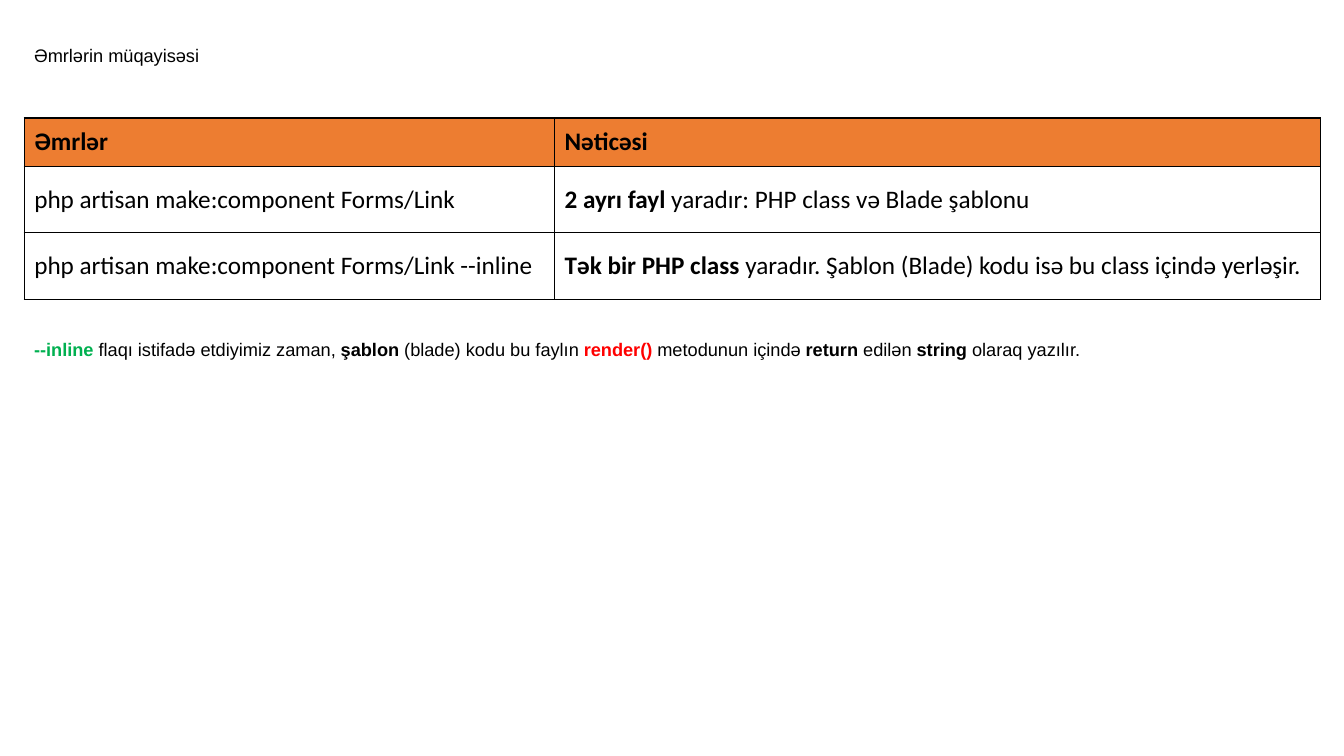
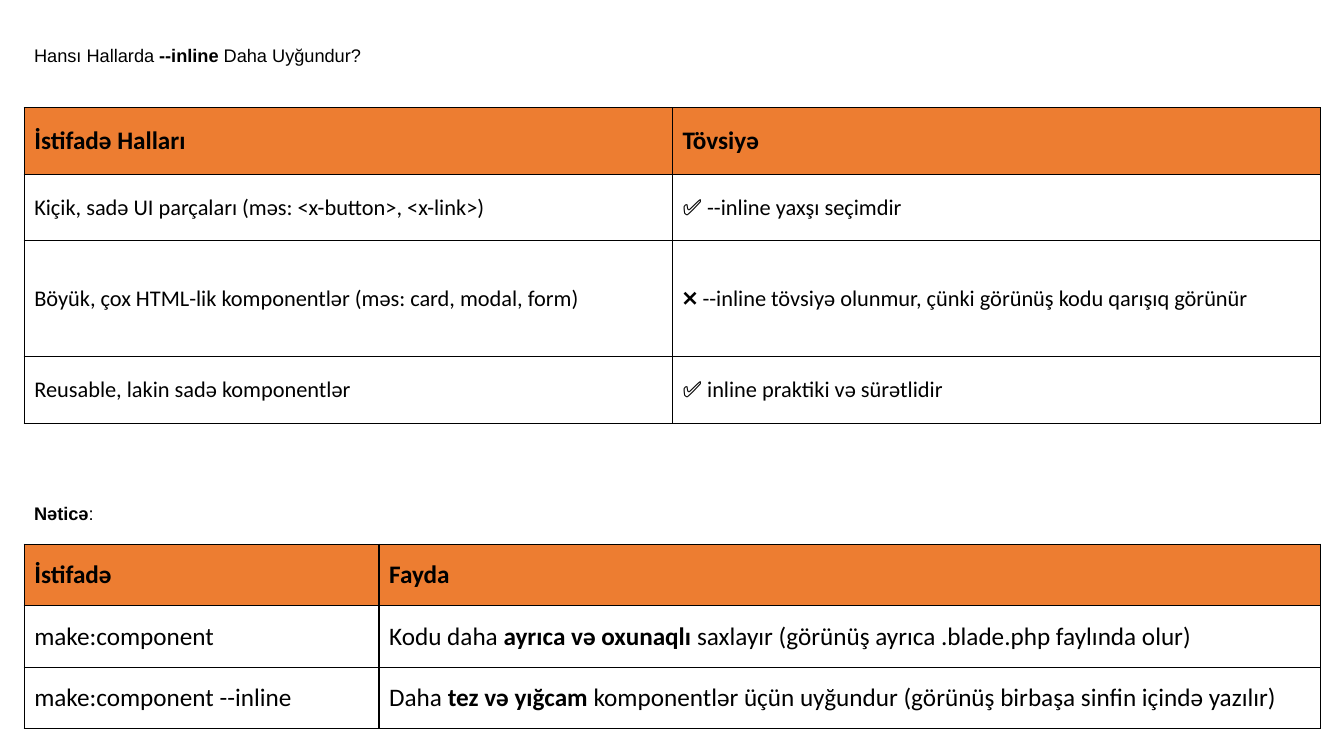
import pptx
import pptx.util
import pptx.dml.color
import pptx.enum.text
import lxml.etree
from dataclasses import dataclass

Inches, Pt = pptx.util.Inches, pptx.util.Pt
RGB = pptx.dml.color.RGBColor.from_string


@dataclass(frozen=True)
class Theme:
    text: str = "000000"
    flag: str = "00B050"
    method: str = "FF0000"
    header: str = "ED7D31"
    border: str = "000000"
    note_font: str = "Arial"
    table_font: str = "Calibri"
    note_size: int = 13
    table_size: int = 18
    small_size: int = 16
    border_width: int = 1


T = Theme()
LEFT, WIDTH = 0.24, 12.86
NOTE_HEIGHT = 0.42
TITLE_TOP = 0.28

# A text is a plain string or a list of strings and (string, style) pairs.
STYLES = {
    "plain": {"bold": False, "color": T.text},
    "bold": {"bold": True, "color": T.text},
    "flag": {"bold": True, "color": T.flag},
    "method": {"bold": True, "color": T.method},
}

SLIDES = [
    {
        "notes": [
            (TITLE_TOP, "Əmrlərin müqayisəsi"),
            (3.2, [("--inline ", "flag"), "flaqı istifadə etdiyimiz zaman, ",
                   ("şablon", "bold"), " (blade) kodu bu faylın ",
                   ("render() ", "method"), "metodunun içində ",
                   ("return", "bold"), " edilən ", ("string", "bold"),
                   " olaraq yazılır."]),
        ],
        "tables": [
            {
                "top": 1.17, "first_col": 5.26, "row_heights": [0.48, 0.66, 0.66],
                "size": T.table_size,
                "rows": [
                    ("Əmrlər", "Nəticəsi"),
                    ("php artisan make:component Forms/Link",
                     [("2 ayrı fayl", "bold"), " yaradır: PHP class və Blade şablonu"]),
                    ("php artisan make:component Forms/Link --inline",
                     [("Tək bir PHP class", "bold"),
                      " yaradır. Şablon (Blade) kodu isə bu class içində yerləşir."]),
                ],
            },
        ],
    },
    {
        "notes": [
            (TITLE_TOP, ["Hansı Hallarda ", ("--inline ", "bold"), "Daha Uyğundur?"]),
            (4.83, [("Nəticə", "bold"), ":"]),
        ],
        "tables": [
            {
                "top": 1.07, "first_col": 6.43, "row_heights": [0.66, 0.66, 1.15, 0.66],
                "size": T.small_size,
                "rows": [
                    ("İstifadə Halları", "Tövsiyə"),
                    ("Kiçik, sadə UI parçaları (məs: <x-button>, <x-link>)",
                     "✅ --inline yaxşı seçimdir"),
                    ("Böyük, çox HTML-lik komponentlər (məs: card, modal, form)",
                     "❌ --inline tövsiyə olunmur, çünki görünüş kodu qarışıq görünür"),
                    ("Reusable, lakin sadə komponentlər",
                     "✅ inline praktiki və sürətlidir"),
                ],
            },
            {
                "top": 5.4, "first_col": 3.52, "row_heights": [0.61] * 3,
                "size": T.table_size,
                "rows": [
                    ("İstifadə", "Fayda"),
                    ("make:component",
                     ["Kodu daha ", ("ayrıca və oxunaqlı", "bold"),
                      " saxlayır (görünüş ayrıca .blade.php faylında olur)"]),
                    ("make:component --inline",
                     ["Daha ", ("tez və yığcam", "bold"),
                      " komponentlər üçün uyğundur (görünüş birbaşa sinfin içində yazılır)"]),
                ],
            },
        ],
    },
]


def write(p, text, font, size, default="plain"):
    for part in [text] if isinstance(text, str) else text:
        words, style = (part, default) if isinstance(part, str) else part
        look = STYLES[style]
        r = p.add_run()
        r.text = words
        for name, value in {"name": font, "size": Pt(size), "bold": look["bold"]}.items():
            setattr(r.font, name, value)
        r.font.color.rgb = RGB(look["color"])


def add_note(s, top, text):
    box = s.shapes.add_textbox(Inches(LEFT), Inches(top), Inches(WIDTH), Inches(NOTE_HEIGHT))
    tf = box.text_frame
    tf.word_wrap = True
    p = tf.paragraphs[0]
    p.line_spacing = 1.5
    write(p, text, T.note_font, T.note_size)


def add_borders(cell):
    """Draw all four sides; call before the fill, which must follow in the XML."""
    qn = pptx.oxml.ns.qn
    tc_pr = cell._tc.get_or_add_tcPr()
    for side in "LRTB":
        ln = lxml.etree.SubElement(tc_pr, qn("a:ln" + side), w=str(Pt(T.border_width)))
        fill = lxml.etree.SubElement(ln, qn("a:solidFill"))
        lxml.etree.SubElement(fill, qn("a:srgbClr"), val=T.border)


def add_grid(s, top, first_col, row_heights, size, rows):
    frame = s.shapes.add_table(len(rows), 2, Inches(LEFT), Inches(top),
                               Inches(WIDTH), Inches(sum(row_heights)))
    table = frame.table
    table.first_row = table.horz_banding = False
    for col, width in zip(table.columns, (first_col, WIDTH - first_col)):
        col.width = Inches(width)
    for i, (row, height) in enumerate(zip(table.rows, row_heights)):
        row.height = Inches(height)
        for cell, text in zip(row.cells, rows[i]):
            cell.vertical_anchor = pptx.enum.text.MSO_ANCHOR.MIDDLE
            add_borders(cell)
            p = cell.text_frame.paragraphs[0]
            if i == 0:
                cell.fill.solid()
                cell.fill.fore_color.rgb = RGB(T.header)
                write(p, text, T.table_font, T.table_size, "bold")
            else:
                cell.fill.background()
                write(p, text, T.table_font, size)


def main():
    prs = pptx.Presentation()
    prs.slide_width, prs.slide_height = Inches(13.33), Inches(7.5)
    for content in SLIDES:
        s = prs.slides.add_slide(prs.slide_layouts[6])
        for top, text in content["notes"]:
            add_note(s, top, text)
        for grid in content["tables"]:
            add_grid(s, **grid)
    prs.save("out.pptx")


if __name__ == "__main__":
    main()
